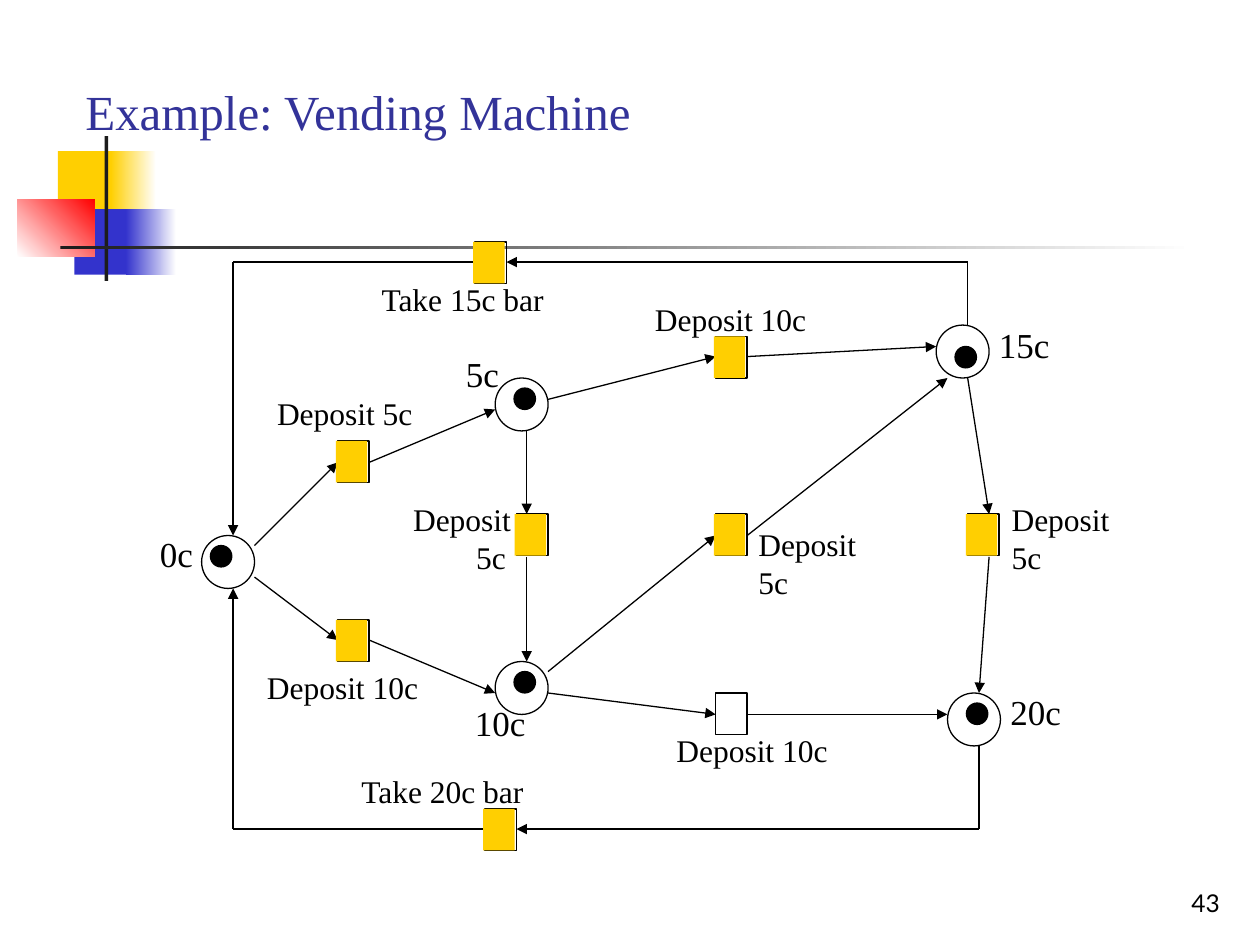
from dataclasses import dataclass
from itertools import pairwise

from lxml import etree
from pptx import Presentation
from pptx.dml.color import RGBColor
from pptx.enum.shapes import MSO_CONNECTOR, MSO_SHAPE
from pptx.enum.text import MSO_ANCHOR, MSO_AUTO_SIZE, PP_ALIGN
from pptx.oxml.ns import qn
from pptx.util import Inches, Pt

RECTANGLE = MSO_SHAPE.RECTANGLE
OVAL = MSO_SHAPE.OVAL
STRAIGHT = MSO_CONNECTOR.STRAIGHT
BOTTOM, TOP = MSO_ANCHOR.BOTTOM, MSO_ANCHOR.TOP
LEFT, RIGHT = PP_ALIGN.LEFT, PP_ALIGN.RIGHT
FIT, FIXED = MSO_AUTO_SIZE.SHAPE_TO_FIT_TEXT, MSO_AUTO_SIZE.NONE

COLORS = {
    "white": "FFFFFF",
    "black": "000000",
    "gold": "FFCF01",
    "blue": "3333CC",
    "red": "FF0000",
    "charcoal": "1C1C1C",
    "title": "333399",
}
SERIF, SANS = "Times New Roman", "Lato"
LINE_WIDTH = Pt(0.75)
PLACE_SIZE, TOKEN_SIZE = 0.42, 0.17
BAR_WIDTH, BAR_HEIGHT = 0.25, 0.33
FILL_SHIFT = 0.015


@dataclass
class Block:
    left: float
    top: float
    width: float
    height: float
    colors: tuple[str, ...]
    angle: float = 0


@dataclass
class Place:
    left: float
    top: float
    token_left: float
    token_top: float


@dataclass
class Transition:
    left: float
    top: float
    filled: bool = True


@dataclass
class Label:
    lines: tuple[str, ...]
    left: float
    top: float
    width: float
    height: float = 0.4
    size: int = 18
    font: str = SERIF
    color: str = "black"
    align: PP_ALIGN = LEFT
    anchor: MSO_ANCHOR = TOP
    fit: bool = True
    wrap: bool = False
    last_indent: float = 0


BLOCKS = [
    Block(0.46, 1.2, 0.48, 0.52, ("gold",)),
    Block(0.88, 1.2, 0.36, 0.52, ("gold", "white")),
    Block(0.59, 1.66, 0.46, 0.52, ("blue",)),
    Block(1, 1.66, 0.4, 0.52, ("blue", "white")),
    Block(0.14, 1.58, 0.61, 0.46, ("white", "red"), 45),
    Block(0.83, 1.08, 0.03, 1.15, ("charcoal",)),
    Block(0.48, 1.95, 9, 0.03, ("charcoal", "white")),
]

PLACES = [
    Place(1.6, 4.25, 1.67, 4.33),
    Place(3.93, 3, 4.08, 3.08),
    Place(3.93, 5.25, 4.08, 5.33),
    Place(7.43, 2.58, 7.58, 2.75),
    Place(7.52, 5.5, 7.67, 5.58),
]

TRANSITIONS = [
    Transition(2.68, 3.5),
    Transition(2.68, 4.92),
    Transition(4.1, 4.08),
    Transition(5.68, 2.67),
    Transition(5.68, 4.08),
    Transition(5.68, 5.5, filled=False),
    Transition(7.68, 4.08),
    Transition(3.77, 1.92),
    Transition(3.85, 6.42),
]

ARCS = [
    [(2.02, 4.33), (2.68, 3.67)],
    [(2.02, 4.58), (2.68, 5.08)],
    [(2.93, 3.67), (3.93, 3.25)],
    [(2.93, 5.08), (3.93, 5.5)],
    [(4.35, 3.17), (5.68, 2.83)],
    [(5.93, 2.83), (7.43, 2.75)],
    [(4.18, 3.42), (4.18, 4.08)],
    [(4.18, 4.42), (4.18, 5.25)],
    [(4.35, 5.33), (5.68, 4.25)],
    [(5.93, 4.25), (7.52, 3)],
    [(4.35, 5.5), (5.68, 5.67)],
    [(5.93, 5.67), (7.52, 5.67)],
    [(7.68, 3), (7.85, 4.08)],
    [(7.85, 4.42), (7.77, 5.5)],
    [(7.68, 2.58), (7.68, 2.08), (4.02, 2.08)],
    [(3.77, 2.08), (1.85, 2.08), (1.85, 4.25)],
    [(7.77, 5.92), (7.77, 6.58), (4.1, 6.58)],
    [(3.85, 6.58), (1.85, 6.58), (1.85, 4.67)],
]

HEADINGS = [
    Label(("Example: Vending Machine",), 0.58, 0.33, 9, 0.83, 28,
          color="title", anchor=BOTTOM, fit=False, wrap=True),
    Label(("43",), 7.7, 6.83, 2.08, 0.5, 14, SANS,
          align=RIGHT, anchor=BOTTOM, fit=False, wrap=True),
]

LABELS = [
    Label(("0c",), 1.17, 4.18, 0.46, 0.43, 20),
    Label(("5c",), 3.6, 2.75, 0.46, 0.43, 20),
    Label(("10c",), 3.67, 5.52, 0.6, 0.43, 20),
    Label(("15c",), 7.83, 2.52, 0.6, 0.43, 20),
    Label(("20c",), 7.92, 5.43, 0.6, 0.43, 20),
    Label(("Take 15c bar",), 2.93, 2.17, 1.93, wrap=True),
    Label(("Take 20c bar",), 2.77, 6.08, 1.51),
    Label(("Deposit 5c",), 2.1, 3.08, 1.28),
    Label(("Deposit 10c",), 2.02, 5.25, 1.4),
    Label(("Deposit 10c",), 5.1, 2.33, 1.4),
    Label(("Deposit 10c",), 5.27, 5.75, 1.4),
    Label(("Deposit", "5c"), 3.18, 3.92, 1.08, 0.7, wrap=True, last_indent=0.5),
    Label(("Deposit", "5c"), 5.92, 4.12, 0.98, 0.7),
    Label(("Deposit", "5c"), 7.93, 3.92, 0.98, 0.7),
]


def rgb(name: str) -> RGBColor:
    return RGBColor.from_string(COLORS[name])


def add_block(slide, block: Block, kind=RECTANGLE, outlined: bool = False) -> None:
    shape = slide.shapes.add_shape(kind, Inches(block.left), Inches(block.top),
                                   Inches(block.width), Inches(block.height))
    shape.shadow.inherit = False
    if len(block.colors) > 1:
        shape.fill.gradient()
        shape.fill.gradient_angle = block.angle
        for stop, name, position in zip(shape.fill.gradient_stops, block.colors, (0, 1)):
            stop.color.rgb = rgb(name)
            stop.position = position
    elif block.colors:
        shape.fill.solid()
        shape.fill.fore_color.rgb = rgb(block.colors[0])
    else:
        shape.fill.background()
    if outlined:
        shape.line.color.rgb = rgb("black")
        shape.line.width = LINE_WIDTH
    else:
        shape.line.fill.background()


def add_arc(slide, points: list[tuple[float, float]]) -> None:
    for start, end in pairwise(points):
        line = slide.shapes.add_connector(STRAIGHT, *map(Inches, start + end))
        line.line.color.rgb = rgb("black")
        line.line.width = LINE_WIDTH
        if end == points[-1]:
            etree.SubElement(line.line._get_or_add_ln(), qn("a:tailEnd"), type="triangle")
        etree.SubElement(line._element.spPr, qn("a:effectLst"))


def add_label(slide, label: Label) -> None:
    box = slide.shapes.add_textbox(Inches(label.left), Inches(label.top),
                                   Inches(label.width), Inches(label.height))
    frame = box.text_frame
    frame.word_wrap = label.wrap
    frame.auto_size = FIT if label.fit else FIXED
    frame.vertical_anchor = label.anchor
    for index, line in enumerate(label.lines):
        para = frame.add_paragraph() if index else frame.paragraphs[0]
        para.alignment = label.align
        span = para.add_run()
        span.text = line
        span.font.name = label.font
        span.font.size = Pt(label.size)
        span.font.color.rgb = rgb(label.color)
    if label.last_indent:
        para._p.get_or_add_pPr().set("marL", str(Inches(label.last_indent)))


def main() -> None:
    deck = Presentation()
    deck.slide_width, deck.slide_height = Inches(10), Inches(7.5)
    slide = deck.slides.add_slide(deck.slide_layouts[6])
    for block in BLOCKS:
        add_block(slide, block)
    for heading in HEADINGS:
        add_label(slide, heading)
    for place in PLACES:
        add_block(slide, Block(place.left, place.top, PLACE_SIZE, PLACE_SIZE, ()), OVAL, True)
    for bar in TRANSITIONS:
        add_block(slide, Block(bar.left, bar.top, BAR_WIDTH, BAR_HEIGHT, ()), outlined=True)
    for arc in ARCS:
        add_arc(slide, arc)
    for label in LABELS:
        add_label(slide, label)
    for bar in TRANSITIONS:
        if bar.filled:
            add_block(slide, Block(bar.left - FILL_SHIFT, bar.top, BAR_WIDTH, BAR_HEIGHT, ("gold",)))
    for place in PLACES:
        add_block(slide, Block(place.token_left, place.token_top, TOKEN_SIZE, TOKEN_SIZE,
                               ("black",)), OVAL, True)
    deck.save("out.pptx")


if __name__ == "__main__":
    main()
